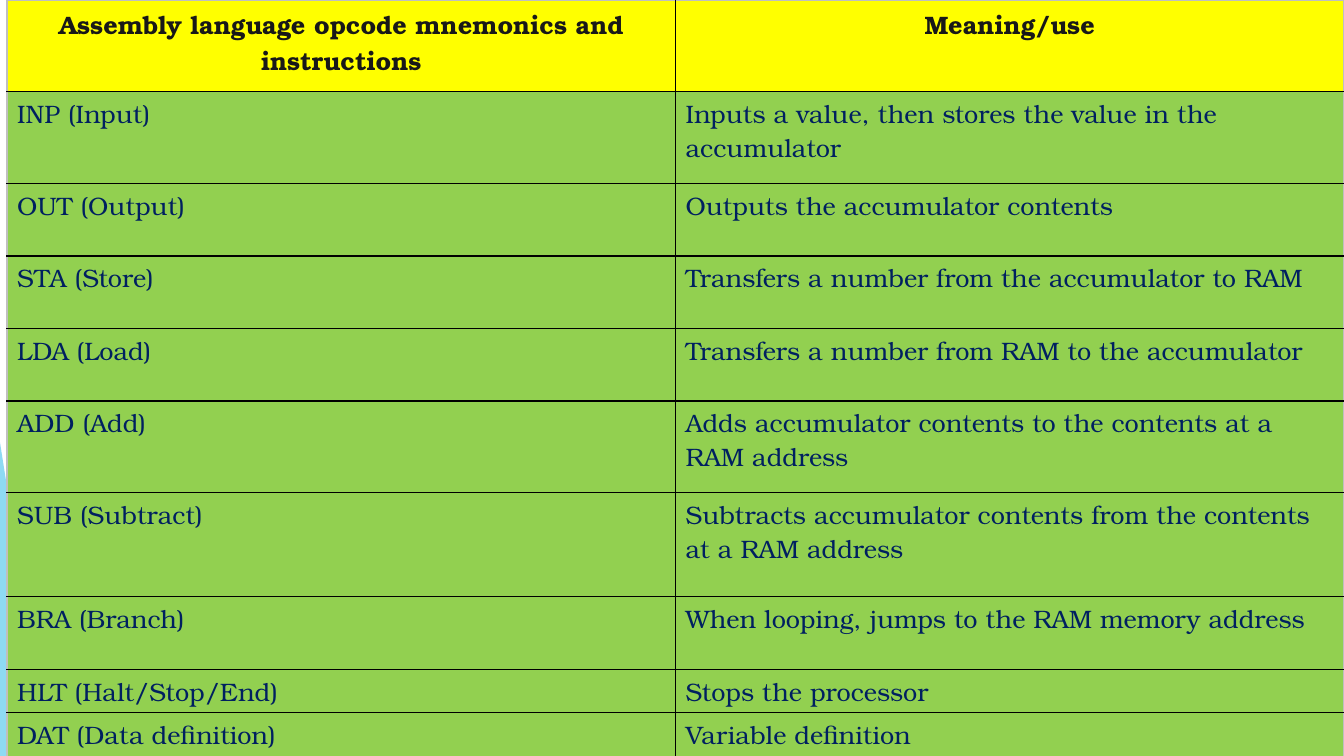
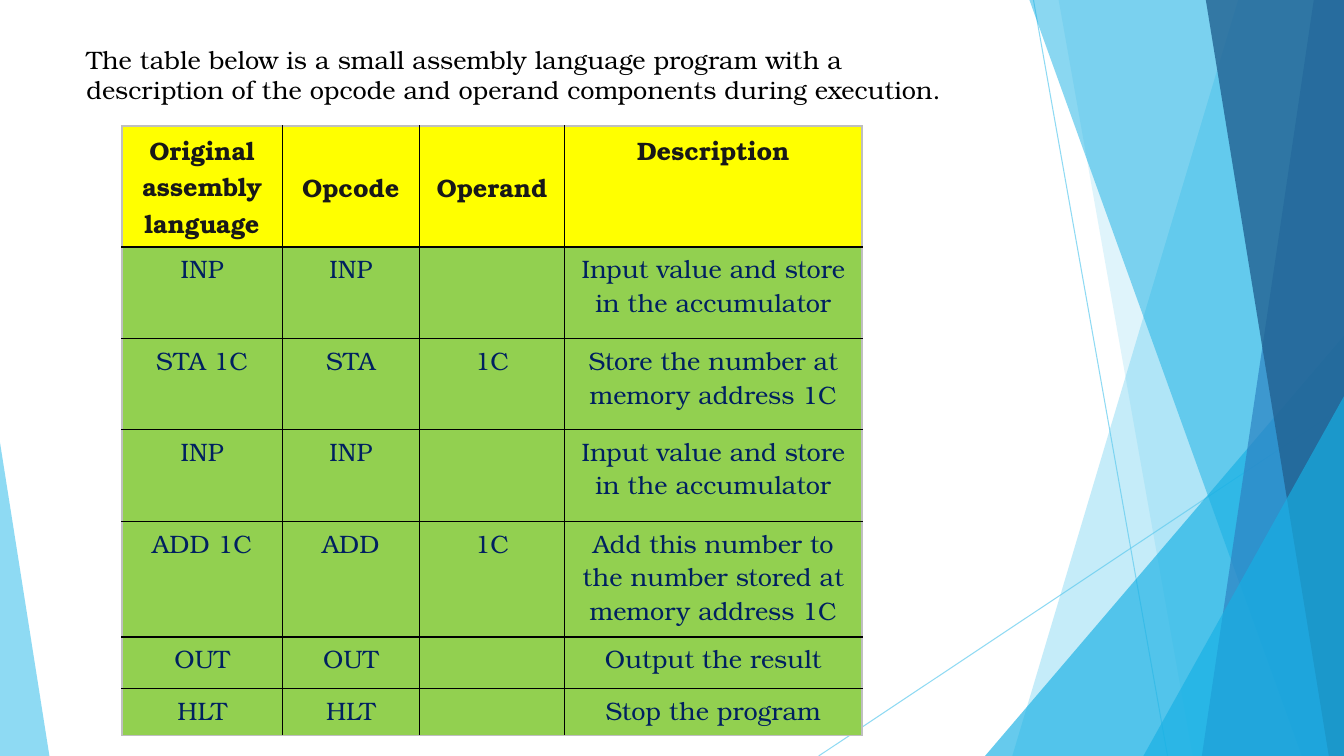
from dataclasses import dataclass

from lxml import etree
from pptx import Presentation
from pptx.dml.color import RGBColor
from pptx.enum.shapes import MSO_CONNECTOR, MSO_SHAPE
from pptx.enum.text import MSO_ANCHOR, PP_ALIGN
from pptx.oxml.ns import qn
from pptx.util import Inches, Pt

TRIANGLE = MSO_SHAPE.ISOSCELES_TRIANGLE
STRAIGHT = MSO_CONNECTOR.STRAIGHT
LEFT, CENTER = PP_ALIGN.LEFT, PP_ALIGN.CENTER
MIDDLE = MSO_ANCHOR.MIDDLE
WIDTH, HEIGHT = 13.33, 7.5
BLANK_LAYOUT = 6


@dataclass(frozen=True)
class Theme:
    font: str = "TeX Gyre Bonum"
    size: int = 18
    black: str = "000000"
    header_text: str = "181818"
    body_text: str = "002060"
    header_fill: str = "FFFF00"
    body_fill: str = "92D050"
    outer_border: str = "BFBFBF"
    sky: str = "5FCBEF"
    cyan: str = "17B0E4"
    blue: str = "2E83C3"
    navy: str = "226292"
    border_width: float = 1


THEME = Theme()

# Bands reach from (top, bottom) on their slanted side to the right edge
BANDS_BEHIND = [(12.28, 10.04, THEME.sky, 36), (10.5, 11.83, THEME.sky, 20)]
BANDS_FRONT = [
    (10.21, 12.91, THEME.cyan, 50),
    (13.03, 11.92, THEME.blue, 70),
    (11.96, 13.18, THEME.navy, 80),
]

OPCODES = [
    ("Assembly language opcode mnemonics and instructions", "Meaning/use"),
    ("INP (Input)", "Inputs a value, then stores the value in the accumulator"),
    ("OUT (Output)", "Outputs the accumulator contents"),
    ("STA (Store)", "Transfers a number from the accumulator to RAM"),
    ("LDA (Load)", "Transfers a number from RAM to the accumulator"),
    ("ADD (Add)", "Adds accumulator contents to the contents at a RAM address"),
    ("SUB (Subtract)",
     "Subtracts accumulator contents from the contents at a RAM address"),
    ("BRA (Branch)", "When looping, jumps to the RAM memory address"),
    ("HLT (Halt/Stop/End)", "Stops the processor"),
    ("DAT (Data definition)", "Variable definition"),
]

INTRO = ("The table below is a small assembly language program with a "
         "description of the opcode and operand components during execution.")
# Opcode and operand are the two words of each instruction
PROGRAM_HEADER = ("Original assembly language", "Opcode", "Operand", "Description")
PROGRAM = [
    ("INP", "Input value and store in the accumulator"),
    ("STA 1C", "Store the number at memory address 1C"),
    ("INP", "Input value and store in the accumulator"),
    ("ADD 1C", "Add this number to the number stored at memory address 1C"),
    ("OUT", "Output the result"),
    ("HLT", "Stop the program"),
]


def color(value):
    return RGBColor.from_string(value)


def set_opacity(shape, percent):
    for node in shape._element.iter(qn("a:srgbClr")):
        etree.SubElement(node, qn("a:alpha"), val=str(percent * 1000))


def paint(shape, fill, opacity):
    shape.shadow.inherit = False
    shape.fill.solid()
    shape.fill.fore_color.rgb = color(fill)
    shape.line.fill.background()
    set_opacity(shape, opacity)


# Background decoration
def add_ray(shapes, *ends):
    ray = shapes.add_connector(STRAIGHT, *map(Inches, ends))
    ray.line.color.rgb = color(THEME.sky)
    ray.line.width = Pt(0.75)
    set_opacity(ray, 70)
    etree.SubElement(ray._element.spPr, qn("a:effectLst"))


def add_band(shapes, top_x, bottom_x, fill, opacity):
    corners = [(WIDTH, 0), (WIDTH, HEIGHT), (bottom_x, HEIGHT)]
    builder = shapes.build_freeform(Inches(top_x), 0)
    builder.add_line_segments([(Inches(x), Inches(y)) for x, y in corners])
    paint(builder.convert_to_shape(), fill, opacity)


def add_corner(shapes, left, top, width, apex, fill, opacity):
    corner = shapes.add_shape(TRIANGLE, Inches(left), Inches(top),
                              Inches(width), Inches(HEIGHT - top))
    corner.adjustments[0] = apex
    paint(corner, fill, opacity)


def decorate_master(presentation, slide):
    """Draw the decoration in a group and move it to the slide master."""
    group = slide.shapes.add_group_shape()
    shapes = group.shapes
    add_ray(shapes, 10.25, 0, 11.58, HEIGHT)
    add_ray(shapes, WIDTH, 4.03, 8.12, HEIGHT)
    for band in BANDS_BEHIND:
        add_band(shapes, *band)
    add_corner(shapes, 9.77, 3.33, WIDTH - 9.77, 1, THEME.cyan, 66)
    for band in BANDS_FRONT:
        add_band(shapes, *band)
    add_corner(shapes, 11.34, 3.93, WIDTH - 11.34, 1, THEME.cyan, 66)
    add_corner(shapes, 0, 4.39, 0.49, 0, THEME.sky, 70)
    for number, node in enumerate(group._element.iter(qn("p:cNvPr")), 100):
        node.set("id", str(number))
    presentation.slide_master.shapes._spTree.append(group._element)


# Text and tables
def write(text_frame, text, text_color, bold=False, align=LEFT):
    text_frame.text = text
    paragraph = text_frame.paragraphs[0]
    paragraph.alignment = align
    for run in paragraph.runs:
        run.font.name = THEME.font
        run.font.size = Pt(THEME.size)
        run.font.bold = bold
        run.font.color.rgb = color(text_color)


def add_borders(cell, outer_sides):
    properties = cell._tc.get_or_add_tcPr()
    for side in "LRTB":
        line = etree.SubElement(properties, qn("a:ln" + side),
                                w=str(Pt(THEME.border_width)))
        fill = etree.SubElement(line, qn("a:solidFill"))
        shade = THEME.outer_border if side in outer_sides else THEME.black
        etree.SubElement(fill, qn("a:srgbClr"), val=shade)


def add_grid(slide, left, top, columns, heights, rows, body_align):
    table = slide.shapes.add_table(
        len(rows), len(columns), Inches(left), Inches(top),
        Inches(sum(columns)), Inches(sum(heights))).table
    table.horz_banding = False
    for column, width in zip(table.columns, columns):
        column.width = Inches(width)
    for row, height in zip(table.rows, heights):
        row.height = Inches(height)
    for r, texts in enumerate(rows):
        for c, text in enumerate(texts):
            cell = table.cell(r, c)
            edges = {"L": c == 0, "R": c == len(columns) - 1,
                     "T": r == 0, "B": r == len(rows) - 1}
            add_borders(cell, [side for side in edges if edges[side]])
            cell.fill.solid()
            header = r == 0
            cell.fill.fore_color.rgb = color(
                THEME.header_fill if header else THEME.body_fill)
            if header:
                write(cell.text_frame, text, THEME.header_text, True, CENTER)
            else:
                write(cell.text_frame, text, THEME.body_text, False, body_align)
    return table


def add_intro(slide, text):
    box = slide.shapes.add_textbox(Inches(0.76), Inches(0.39),
                                   Inches(8.83), Inches(0.71))
    box.text_frame.word_wrap = True
    write(box.text_frame, text, THEME.black)


# Slides
def build_opcodes(slide):
    heights = [0.91, 0.91, 0.72, 0.72, 0.72, 0.91, 1.03, 0.72, 0.43, 0.43]
    add_grid(slide, 0.07, 0, [6.63, 6.63], heights, OPCODES, LEFT)


def build_program(slide):
    rows = [PROGRAM_HEADER]
    for instruction, description in PROGRAM:
        opcode, _, operand = instruction.partition(" ")
        rows.append((instruction, opcode, operand, description))
    heights = [1.2, 0.91, 0.9, 0.91, 1.15, 0.51, 0.47]
    table = add_grid(slide, 1.21, 1.25, [1.59, 1.36, 1.44, 2.95], heights,
                     rows, CENTER)
    for column in (1, 2):
        cell = table.cell(0, column)
        cell.vertical_anchor = MIDDLE
        cell.margin_left = cell.margin_right = Inches(0.03)
        cell.margin_top = cell.margin_bottom = Inches(0.03)
    add_intro(slide, INTRO)


def main():
    presentation = Presentation()
    presentation.slide_width = Inches(WIDTH)
    presentation.slide_height = Inches(HEIGHT)
    layout = presentation.slide_layouts[BLANK_LAYOUT]
    opcodes, program = (presentation.slides.add_slide(layout) for _ in range(2))
    decorate_master(presentation, opcodes)
    build_opcodes(opcodes)
    build_program(program)
    presentation.save("out.pptx")


if __name__ == "__main__":
    main()
